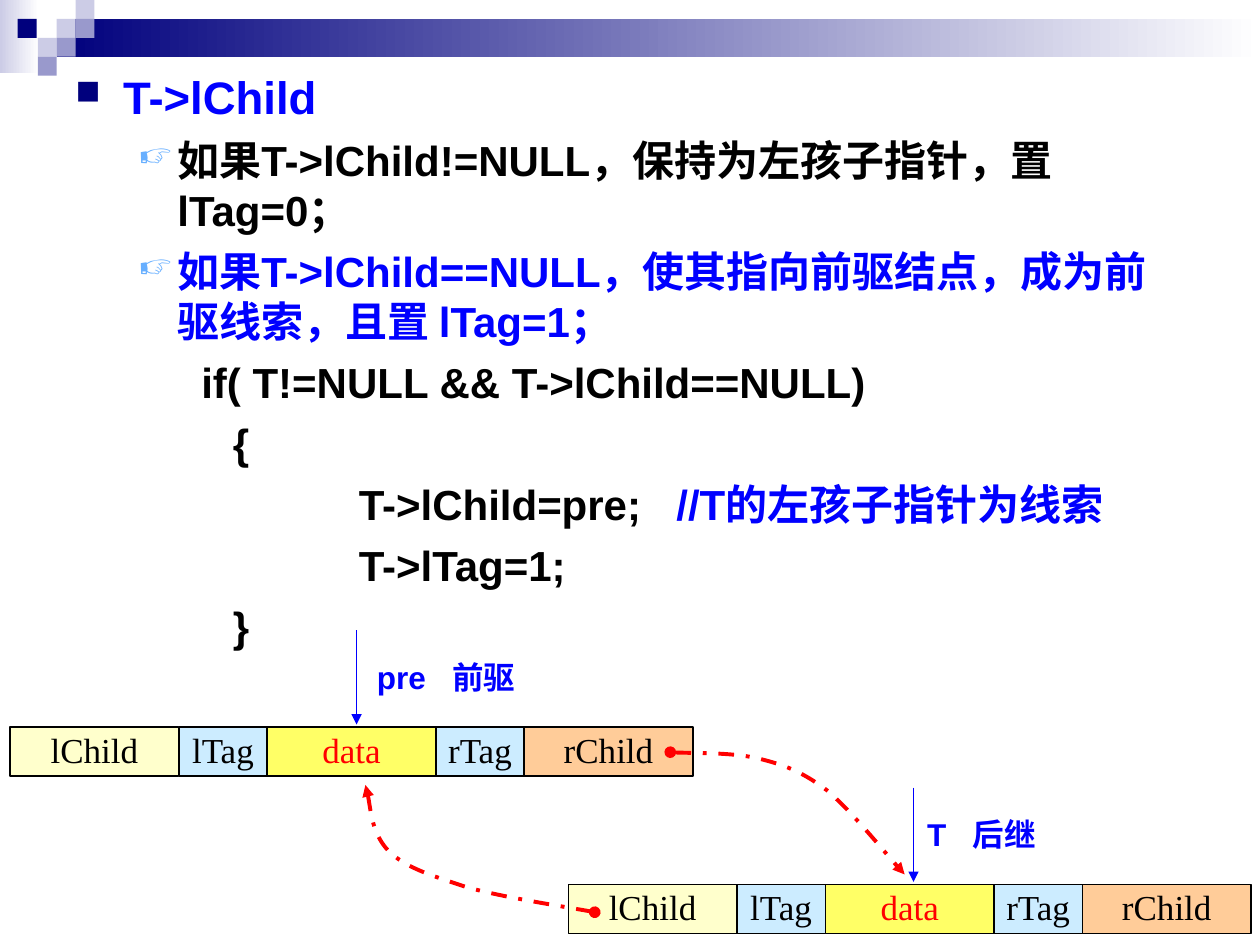
from lxml import etree
from pptx import Presentation
from pptx.dml.color import RGBColor
from pptx.enum.dml import MSO_LINE
from pptx.enum.shapes import MSO_CONNECTOR, MSO_SHAPE
from pptx.enum.text import MSO_ANCHOR, PP_ALIGN
from pptx.oxml.ns import qn
from pptx.util import Inches, Pt

RECTANGLE = MSO_SHAPE.RECTANGLE
STRAIGHT = MSO_CONNECTOR.STRAIGHT
DASH_DOT = MSO_LINE.DASH_DOT
MIDDLE = MSO_ANCHOR.MIDDLE
CENTER = PP_ALIGN.CENTER

NAVY, LILAC, PERIWINKLE = "00007D", "CCCCE6", "9999CC"
BLUE, RED, BLACK, WHITE = "0000FF", "FF0000", "000000", "FFFFFF"
SKY = "67AFFF"
SQUARE = 0.15
HEADER_SQUARES = [
    (0.45, 0.15, LILAC), (0.6, 0, LILAC), (0.6, 0.15, PERIWINKLE), (0.3, 0.3, LILAC),
    (0.14, 0.15, NAVY), (0.45, 0.3, PERIWINKLE), (0.3, 0.45, PERIWINKLE),
]
NODE_FIELDS = [
    ("lChild", 1.34, "FFFFCC", BLACK), ("lTag", 0.7, "CCECFF", BLACK),
    ("data", 1.34, "FFFF66", RED), ("rTag", 0.7, "CCECFF", BLACK),
    ("rChild", 1.34, "FFCC99", BLACK),
]
SUCCESSOR_CURVE = [
    (5.32, 5.97), (5.43, 5.98), (5.81, 5.97), (6.02, 6.02), (6.22, 6.07),
    (6.36, 6.12), (6.56, 6.27), (6.75, 6.43), (7.05, 6.8), (7.18, 6.94),
]
PREDECESSOR_CURVE = [
    (2.9, 6.23), (2.93, 6.31), (2.95, 6.61), (3.08, 6.75), (3.22, 6.89),
    (3.43, 6.95), (3.7, 7.04), (3.98, 7.12), (4.51, 7.2), (4.72, 7.24),
]


def color(value):
    """Turn a hex string into a colour."""
    return RGBColor.from_string(value)


def add_rectangle(page, left, top, width, height, fill, fade=False):
    """Add a borderless rectangle, plain or fading to white."""
    box = page.shapes.add_shape(
        RECTANGLE, Inches(left), Inches(top), Inches(width), Inches(height))
    box.shadow.inherit = False
    box.line.fill.background()
    if fade:
        box.fill.gradient()
        box.fill.gradient_angle = 0
        for stop, shade in zip(box.fill.gradient_stops, (fill, WHITE)):
            stop.color.rgb = color(shade)
    else:
        box.fill.solid()
        box.fill.fore_color.rgb = color(fill)
    return box


def add_span(para, text, size=24, tint=BLACK, font="Arial", bold=True):
    """Add a formatted run to a paragraph."""
    span = para.add_run()
    span.text = text
    span.font.size = Pt(size)
    span.font.name = font
    span.font.bold = bold
    span.font.color.rgb = color(tint)
    return span


def add_gap(para, size):
    """Add one space that is three spaces wide."""
    span = add_span(para, " ", size=size)
    span.font._element.set("spc", str(round(size * 56)))


def set_indent(para, left, first):
    """Set the left and first-line indents of a paragraph."""
    properties = para._p.get_or_add_pPr()
    properties.set("marL", str(Inches(left)))
    properties.set("indent", str(Inches(first)))


def set_bullet(para, mark, tint, percent):
    """Give a paragraph a coloured bullet."""
    properties = para._p.get_or_add_pPr()
    shade = etree.SubElement(properties, qn("a:buClr"))
    etree.SubElement(shade, qn("a:srgbClr"), val=tint)
    etree.SubElement(properties, qn("a:buSzPct"), val=str(percent * 1000))
    etree.SubElement(properties, qn("a:buChar"), char=mark)


def add_text_box(page, left, top, width, height):
    """Add a wrapping text box and return its text frame."""
    box = page.shapes.add_textbox(Inches(left), Inches(top), Inches(width), Inches(height))
    box.text_frame.word_wrap = True
    return box.text_frame


def add_point(frame, text, tint=BLACK, left=0.81, first=-0.31, bullet=None):
    """Add a body paragraph below the heading."""
    para = frame.add_paragraph()
    para.space_before = Pt(6)
    set_indent(para, left, first)
    if bullet:
        set_bullet(para, bullet, SKY, 80)
    add_span(para, text, tint=tint)
    return para


def add_body(page):
    """Add the explanation and the code."""
    frame = add_text_box(page, 0.5, 0.5, 9, 7)
    heading = frame.paragraphs[0]
    set_indent(heading, 0.38, -0.38)
    set_bullet(heading, "■", NAVY, 75)
    add_span(heading, "T->lChild", size=26, tint=BLUE)
    add_point(frame, "如果T->lChild!=NULL，保持为左孩子指针，置 lTag=0；", bullet="☞")
    add_point(frame, "如果T->lChild==NULL，使其指向前驱结点，成为前驱线索，且置 lTag=1；",
              tint=BLUE, bullet="☞")
    add_point(frame, "if( T!=NULL && T->lChild==NULL)", left=1.25, first=-0.25)
    add_point(frame, "{", left=1.25, first=0)
    assignment = add_point(frame, "T->lChild=pre;", left=2.25, first=0)
    add_gap(assignment, 24)
    add_span(assignment, "//T的左孩子指针为线索", tint=BLUE)
    add_point(frame, "T->lTag=1;", left=2.25, first=0)
    add_point(frame, "}", left=1.25, first=0)


def add_node(page, left, top):
    """Add a tree node as a row of five fields."""
    for name, width, fill, tint in NODE_FIELDS:
        box = add_rectangle(page, left, top, width, 0.39, fill)
        box.line.color.rgb = color(BLACK)
        box.line.width = Pt(0.75)
        frame = box.text_frame
        frame.word_wrap = False
        frame.margin_top = Inches(0.01)
        frame.vertical_anchor = MIDDLE
        para = frame.paragraphs[0]
        para.alignment = CENTER
        add_span(para, name, size=20, tint=tint, font="Times New Roman", bold=False)
        left += width


def add_label(page, left, top, width, height, pointer, role):
    """Add a centred label of a pointer and its role."""
    para = add_text_box(page, left, top, width, height).paragraphs[0]
    para.alignment = CENTER
    add_span(para, pointer, size=18, tint=BLUE)
    add_gap(para, 18)
    add_span(para, role, size=18, tint=BLUE)


def style_line(shape, tint, width, head=None, tail=None):
    """Set colour, width and line ends."""
    shape.line.color.rgb = color(tint)
    shape.line.width = Pt(width)
    outline = shape.line._get_or_add_ln()
    for tag, end in (("a:headEnd", head), ("a:tailEnd", tail)):
        if end:
            etree.SubElement(outline, qn(tag), type=end)


def add_pointer(page, x, top, bottom):
    """Add a vertical arrow pointing down."""
    arrow = page.shapes.add_connector(
        STRAIGHT, Inches(x), Inches(top), Inches(x), Inches(bottom))
    style_line(arrow, BLUE, 0.75, tail="triangle")
    etree.SubElement(arrow._element.spPr, qn("a:effectLst"))


def add_thread(page, points, head, tail):
    """Add a dashed curve through Bézier points."""
    start, *rest = [(Inches(x), Inches(y)) for x, y in points]
    builder = page.shapes.build_freeform(*start)
    builder.add_line_segments(rest, close=False)
    curve = builder.convert_to_shape()
    segments = list(curve._element.iter(qn("a:lnTo")))
    for index in range(0, len(segments), 3):
        first, *others = segments[index:index + 3]
        first.tag = qn("a:cubicBezTo")
        for segment in others:
            first.append(segment[0])
            segment.getparent().remove(segment)
    curve.shadow.inherit = False
    curve.fill.background()
    curve.line.dash_style = DASH_DOT
    style_line(curve, RED, 2.25, head, tail)


def main():
    """Build the slide and save it."""
    deck = Presentation()
    deck.slide_width, deck.slide_height = Inches(10), Inches(7.5)
    page = deck.slides.add_slide(deck.slide_layouts[6])
    add_rectangle(page, 0, 0, 0.31, 0.58, LILAC, fade=True)
    add_rectangle(page, 0.45, 0.15, 9.55, 0.3, NAVY, fade=True)
    for left, top, fill in HEADER_SQUARES:
        add_rectangle(page, left, top, SQUARE, SQUARE, fill)
    add_body(page)
    add_node(page, 4.51, 7.02)
    add_node(page, 0.08, 5.77)
    add_pointer(page, 2.83, 5, 5.75)
    add_pointer(page, 7.25, 6.25, 7)
    add_label(page, 7.25, 6.42, 1.08, 0.7, "T", "后继")
    add_label(page, 2.5, 5.17, 2.08, 0.4, "pre", "前驱")
    add_thread(page, SUCCESSOR_CURVE, "oval", "triangle")
    add_thread(page, PREDECESSOR_CURVE, "triangle", "oval")
    deck.save("out.pptx")


if __name__ == "__main__":
    main()
